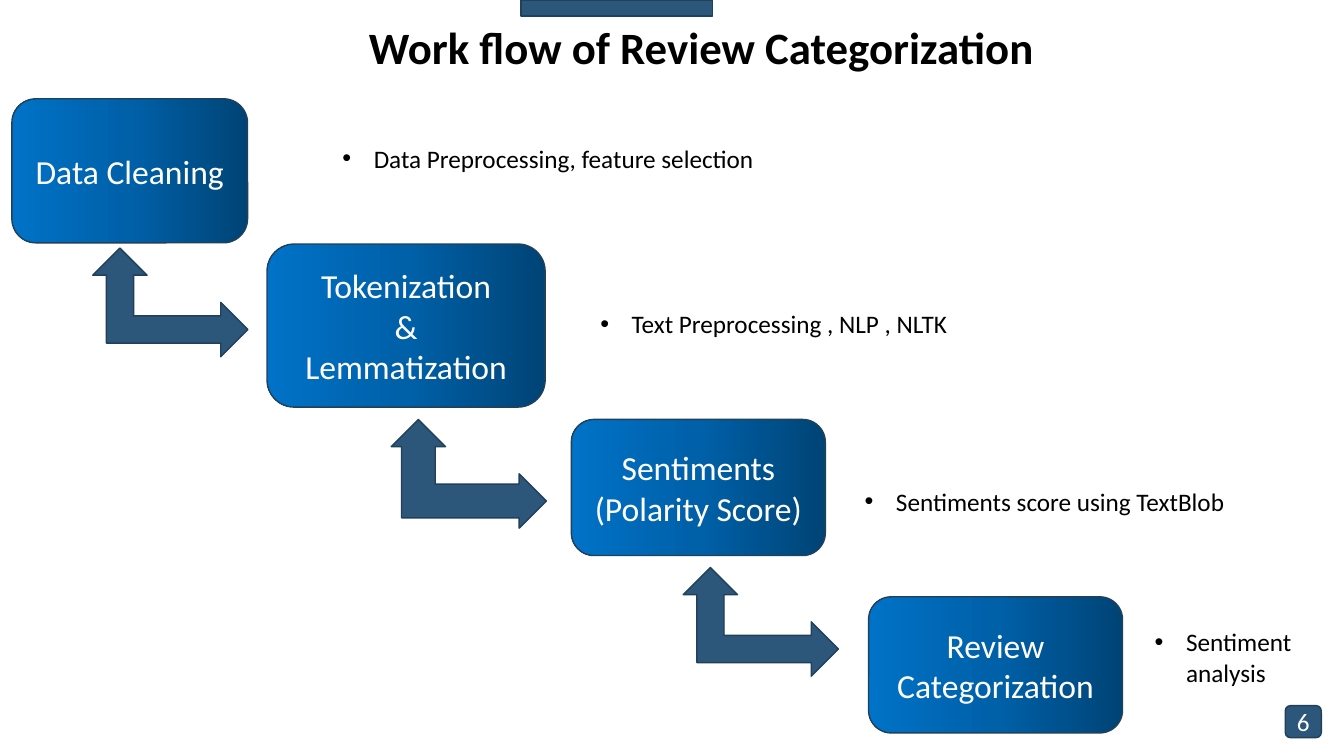
from copy import deepcopy
from typing import NamedTuple, Optional

from lxml.etree import SubElement
from pptx import Presentation
from pptx.dml.color import RGBColor
from pptx.enum.shapes import MSO_SHAPE as Preset
from pptx.enum.text import MSO_ANCHOR as Anchor, PP_ALIGN as Align
from pptx.oxml.ns import qn
from pptx.shapes.autoshape import Shape
from pptx.slide import Slide
from pptx.util import Cm, Pt

FONT = "Calibri"
BLACK, WHITE = "000000", "FFFFFF"
STEEL, OUTLINE = "2C567A", "21405A"
GRADIENT = {0: "004476", 0.5: "0060A8", 1: "0072C7"}


class Box(NamedTuple):
    """Left, top, width and height in centimetres."""
    left: float
    top: float
    width: float
    height: float


class Step(NamedTuple):
    box: Box
    label: str
    note_box: Box
    note: str
    wrap_note: bool = True


class Turn(NamedTuple):
    """A bent arrow between two steps."""
    left: float
    top: float
    thickness: float = 0.25


STEPS = [
    Step(Box(0.3, 2.49, 5.94, 3.63), "Data Cleaning",
         Box(8.38, 3.48, 11.79, 1.02), "Data Preprocessing, feature selection"),
    Step(Box(6.73, 6.15, 7.01, 4.11), "Tokenization\n&\nLemmatization",
         Box(14.88, 7.65, 9.35, 1.02), "Text Preprocessing , NLP , NLTK", False),
    Step(Box(14.4, 10.57, 6.4, 3.43), "Sentiments (Polarity Score)",
         Box(21.54, 12.12, 10.03, 1.02), "Sentiments score using TextBlob"),
    Step(Box(21.89, 15.04, 6.4, 3.43), "Review Categorization",
         Box(28.85, 15.67, 4.37, 1.8), "Sentiment analysis"),
]
TURNS = [Turn(2.34, 6.25), Turn(9.86, 10.57, 0.31), Turn(17.22, 14.3)]


def rgb(value: str) -> RGBColor:
    return RGBColor.from_string(value)


def lengths(box: Box) -> list[Cm]:
    return [Cm(value) for value in box]


def write(shape: Shape, text: str, size: float, color: str,
          align: Align = Align.LEFT, bold: bool = False) -> None:
    frame = shape.text_frame
    frame.text = text
    font_format = {"name": FONT, "size": Pt(size), "bold": bold}
    for paragraph in frame.paragraphs:
        paragraph.alignment = align
        for run in paragraph.runs:
            for name, value in font_format.items():
                setattr(run.font, name, value)
            run.font.color.rgb = rgb(color)


def add_preset(slide: Slide, preset: Preset, box: Box) -> Shape:
    shape = slide.shapes.add_shape(preset, *lengths(box))
    shape.shadow.inherit = False
    shape.fill.solid()
    shape.fill.fore_color.rgb = rgb(STEEL)
    shape.line.color.rgb = rgb(OUTLINE)
    shape.line.width = Pt(1)
    return shape


def add_label_box(slide: Slide, box: Box, text: str, size: float) -> Shape:
    shape = add_preset(slide, Preset.ROUNDED_RECTANGLE, box)
    shape.text_frame.vertical_anchor = Anchor.MIDDLE
    write(shape, text, size, WHITE, Align.CENTER)
    return shape


def fill_with_gradient(shape: Shape) -> None:
    shape.fill.gradient()
    shape.fill.gradient_angle = 180
    stop_list = shape._element.spPr.find(qn("a:gradFill")).find(qn("a:gsLst"))
    stop_list.append(deepcopy(stop_list[0]))
    for stop, (position, color) in zip(shape.fill.gradient_stops, GRADIENT.items()):
        stop.position = position
        stop.color.rgb = rgb(color)


def add_turn(slide: Slide, turn: Turn) -> None:
    arrow = add_preset(slide, Preset.LEFT_UP_ARROW, Box(turn.left, turn.top, 3.91, 2.74))
    arrow.adjustments[0] = turn.thickness
    arrow._element.spPr.find(qn("a:xfrm")).set("flipH", "1")


def add_note(slide: Slide, step: Step) -> None:
    """Add the bulleted remark beside a step."""
    note = slide.shapes.add_textbox(*lengths(step.note_box))
    note.text_frame.word_wrap = step.wrap_note
    write(note, step.note, 18, BLACK)
    indent = Cm(0.79)
    properties = note.text_frame.paragraphs[0]._p.get_or_add_pPr()
    properties.set("marL", str(indent))
    properties.set("indent", str(-indent))
    SubElement(properties, qn("a:buFont")).set("typeface", "Arial")
    SubElement(properties, qn("a:buChar")).set("char", "•")


def add_title(slide: Slide) -> None:
    title = slide.shapes.add_textbox(*lengths(Box(9.3, 0.66, 18.64, 1.3)))
    frame_format = {"word_wrap": True, "vertical_anchor": Anchor.TOP,
                    "margin_left": 0, "margin_right": 0,
                    "margin_top": 0, "margin_bottom": 0}
    for name, value in frame_format.items():
        setattr(title.text_frame, name, value)
    write(title, "Work flow of Review Categorization", 32, BLACK, bold=True)
    title.text_frame.paragraphs[0].line_spacing = 0.9


def main() -> None:
    presentation = Presentation()
    presentation.slide_width = Cm(33.87)
    presentation.slide_height = Cm(19.05)
    slide = presentation.slides.add_slide(presentation.slide_layouts[6])

    add_title(slide)
    add_preset(slide, Preset.RECTANGLE, Box(13.13, 0, 4.83, 0.41))
    for step in STEPS:
        fill_with_gradient(add_label_box(slide, step.box, step.label, 24))
        add_note(slide, step)
    for turn in TURNS:
        add_turn(slide, turn)
    add_label_box(slide, Box(32.39, 17.78, 0.91, 0.81), "6", 18)

    presentation.save("out.pptx")


if __name__ == "__main__":
    main()
